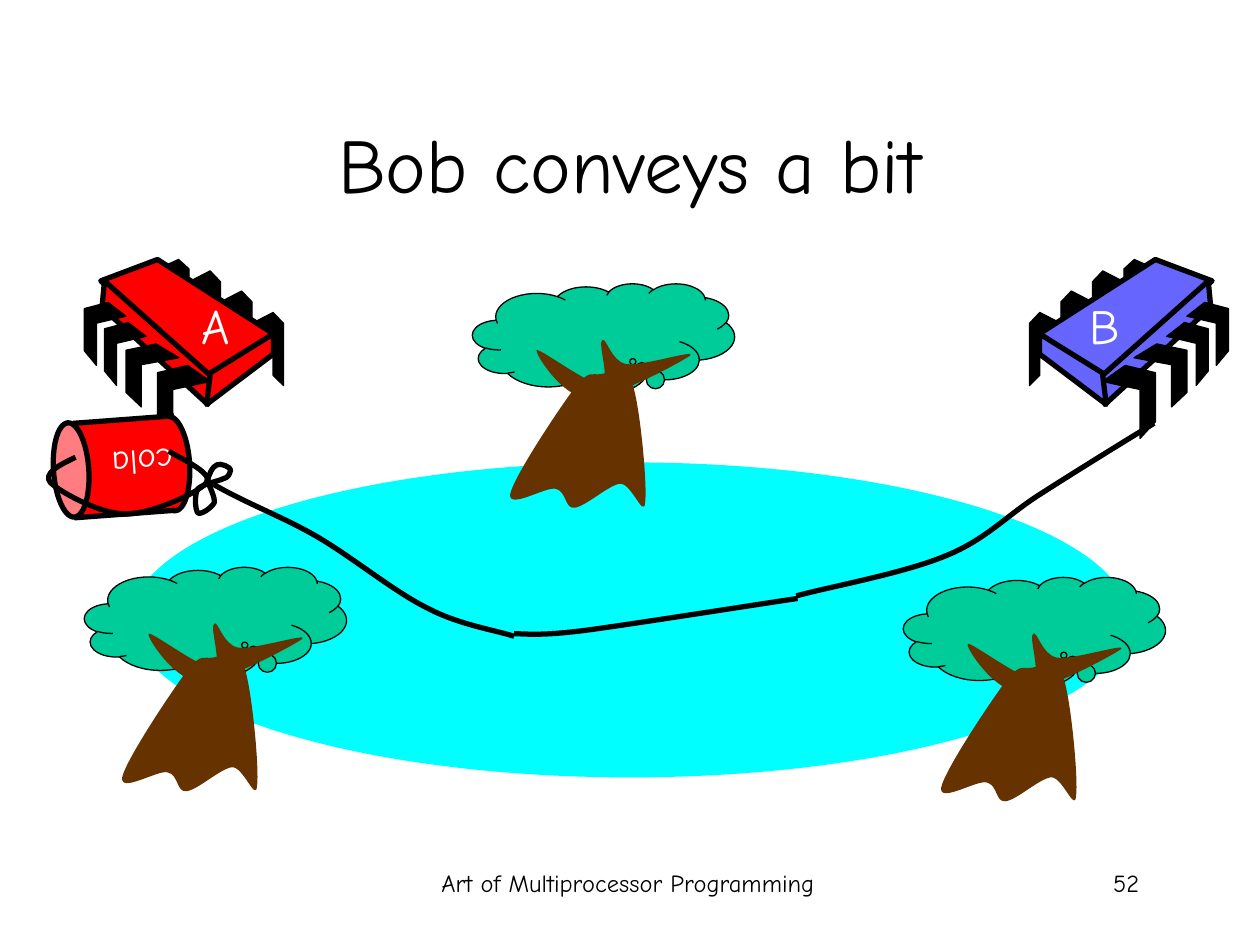
from pptx import Presentation
from pptx.dml.color import RGBColor
from pptx.enum.shapes import MSO_CONNECTOR, MSO_SHAPE
from pptx.enum.text import MSO_ANCHOR, PP_ALIGN
from pptx.oxml.ns import qn
from pptx.oxml.xmlchemy import OxmlElement
from pptx.util import Inches, Pt

STRAIGHT = MSO_CONNECTOR.STRAIGHT
OVAL, RECT, CLOUD = MSO_SHAPE.OVAL, MSO_SHAPE.RECTANGLE, MSO_SHAPE.CLOUD_CALLOUT
CENTER, RIGHT = PP_ALIGN.CENTER, PP_ALIGN.RIGHT
MIDDLE = MSO_ANCHOR.MIDDLE

COLORS = {
    "black": "000000", "white": "FFFFFF", "red": "FF0000", "pink": "FF7C80",
    "blue": "6666FF", "water": "00FFFF", "leaf": "00CC99", "bark": "663300",
}
FONT = "Comic Neue"
THICK, THIN = 3, 0.75
MIRROR = 10.42

BACK_LEG = [(0, 0.15), (0.67, 0), (1, 0.15), (1, 1), (0.67, 0.86), (0.67, 0.29), (0, 0.43)]
FRONT_LEG = [(0.57, 0), (1, 0.22), (0.29, 0.33), (0.29, 1), (0, 0.77), (0, 0.1)]
BACK_BOXES = [(2, 2.48, 0.25, 0.58), (1.75, 2.31, 0.25, 0.58),
              (1.5, 2.15, 0.25, 0.58), (1.25, 2.06, 0.25, 0.5)]
FRONT_BOXES = [(1.25, 2.9, 0.42, 0.58), (1, 2.73, 0.42, 0.5),
               (0.83, 2.56, 0.33, 0.5), (0.67, 2.4, 0.33, 0.5)]
CHIP_FACES = [
    [(1.25, 2.06), (2.17, 2.65), (1.65, 2.99), (0.8, 2.23)],
    [(0.83, 2.23), (1.67, 2.98), (1.65, 3.21), (0.81, 2.44)],
    [(2.17, 2.65), (2.17, 2.81), (1.64, 3.21), (1.67, 2.96)],
]
TRUNK = [
    (0.81, 0.83), (0.93, 0.68), (0.94, 0.73), (1.02, 0.72), (1.09, 0.71), (1.21, 0.63),
    (1.27, 0.8), (1.33, 0.97), (1.39, 1.61), (1.37, 1.74), (1.36, 1.87), (1.26, 1.58),
    (1.17, 1.59), (1.08, 1.6), (0.9, 1.77), (0.81, 1.78), (0.73, 1.79), (0.75, 1.65),
    (0.66, 1.63), (0.58, 1.61), (0.28, 1.8), (0.3, 1.67), (0.33, 1.53), (0.69, 0.99),
    (0.81, 0.83),
]
BRANCHES = [
    (0.51, 0.53), (0.49, 0.55), (0.71, 0.9), (0.91, 0.91), (1.12, 0.92), (1.68, 0.61),
    (1.73, 0.57), (1.78, 0.52), (1.34, 0.66), (1.22, 0.64), (1.1, 0.62), (1.06, 0.42),
    (1.03, 0.45), (0.99, 0.47), (1.1, 0.78), (1.02, 0.8), (0.93, 0.81), (0.53, 0.51),
    (0.51, 0.53),
]
BOW = [
    (1.65, 3.82), (1.65, 3.77), (1.69, 3.7), (1.72, 3.69), (1.75, 3.67), (1.83, 3.71),
    (1.83, 3.73), (1.82, 3.77), (1.81, 3.79), (1.77, 3.8), (1.73, 3.82), (1.61, 3.84),
    (1.57, 3.88), (1.54, 3.93), (1.55, 4.05), (1.57, 4.07), (1.59, 4.09), (1.68, 4.03),
    (1.7, 3.99), (1.71, 3.95), (1.66, 3.86), (1.65, 3.82),
]
LOOP = [
    (0.6, 3.63), (0.47, 3.69), (0.34, 3.76), (0.4, 3.83), (0.47, 3.9), (0.79, 4.08),
    (1, 4.08), (1.2, 4.08), (1.58, 3.91), (1.64, 3.83), (1.7, 3.75), (1.39, 3.62),
    (1.34, 3.58),
]
STRINGS = [
    [(1.67, 3.83), (1.94, 3.99), (2.22, 4.09), (2.5, 4.25), (2.78, 4.41), (3.12, 4.69),
     (3.38, 4.82), (3.64, 4.96), (3.93, 5), (4.08, 5.05)],
    [(9.16, 3.36), (9.01, 3.45), (8.54, 3.74), (8.26, 3.92), (7.99, 4.09), (7.83, 4.28),
     (7.51, 4.41), (7.18, 4.55), (6.57, 4.66), (6.32, 4.73)],
    [(4.08, 5.03), (4.18, 5.03), (4.29, 5.05), (4.67, 5), (5.04, 4.95), (6.06, 4.79),
     (6.33, 4.75)],
]


def rgb(name):
    return RGBColor.from_string(COLORS[name])


class Scene:
    def __init__(self, s):
        self.s = s
        self.shapes = s.shapes

    def group(self):
        self.shapes = self.s.shapes.add_group_shape().shapes

    def ungroup(self):
        self.shapes = self.s.shapes

    def style(self, sp, fill, width):
        sp.shadow.inherit = False
        if fill:
            sp.fill.solid()
            sp.fill.fore_color.rgb = rgb(fill)
        else:
            sp.fill.background()
        if width:
            sp.line.color.rgb = rgb("black")
            sp.line.width = Pt(width)
        else:
            sp.line.fill.background()

    def put_text(self, sp, text, size, color, align, wrap=True):
        tf = sp.text_frame
        tf.word_wrap = wrap
        p = tf.paragraphs[0]
        p.alignment = align
        r = p.add_run()
        r.text = text
        for name, value in {"name": FONT, "size": Pt(size)}.items():
            setattr(r.font, name, value)
        r.font.color.rgb = rgb(color)

    def title(self, text, box):
        sp = self.s.shapes.title
        for name, value in zip(("left", "top", "width", "height"), box):
            setattr(sp, name, Inches(value))
        sp.text_frame.vertical_anchor = MIDDLE
        self.put_text(sp, text, 44, "black", CENTER)

    def text(self, text, box, size, color="white", align=RIGHT, wrap=False, rotation=0):
        sp = self.shapes.add_textbox(*map(Inches, box))
        sp.rotation = rotation
        self.put_text(sp, text, size, color, align, wrap)

    def shape(self, kind, box, fill, width=None, rotation=0):
        sp = self.shapes.add_shape(kind, *map(Inches, box))
        sp.rotation = rotation
        self.style(sp, fill, width)
        return sp

    def line(self, x1, y1, x2, y2):
        c = self.shapes.add_connector(STRAIGHT, *map(Inches, (x1, y1, x2, y2)))
        c.line.color.rgb = rgb("black")
        c.line.width = Pt(THICK)
        c.element.spPr.append(OxmlElement("a:effectLst"))

    def polygon(self, points, fill=None, width=None, close=True):
        pts = [(Inches(x), Inches(y)) for x, y in points]
        fb = self.shapes.build_freeform(*pts[0])
        fb.add_line_segments(pts[1:], close=close)
        sp = fb.convert_to_shape()
        self.style(sp, fill, width)
        return sp

    def curve(self, points, fill=None, width=None):
        sp = self.polygon(points, fill, width, close=points[0] == points[-1])
        segments = list(sp.element.iter(qn("a:lnTo")))
        for i in range(0, len(segments), 3):
            cubic = OxmlElement("a:cubicBezTo")
            segments[i].addprevious(cubic)
            for segment in segments[i:i + 3]:
                cubic.append(segment[0])
                segment.getparent().remove(segment)

    def chip(self, color, mirrored=False):
        def place(points):
            return [(MIRROR - x if mirrored else x, y) for x, y in points]

        def legs(outline, boxes):
            for x, y, w, h in boxes:
                points = [(x + u * w, y + v * h) for u, v in outline]
                self.polygon(place(points), "black", THIN)

        self.group()
        legs(BACK_LEG, BACK_BOXES)
        for face in CHIP_FACES:
            self.polygon(place(face), color, THICK)
        legs(FRONT_LEG, FRONT_BOXES)
        self.ungroup()

    def tree(self, x, y):
        self.group()
        cloud = self.shape(CLOUD, (x, y, 2.08, 0.87), "leaf", THIN)
        cloud.adjustments[0], cloud.adjustments[1] = 0.112, 0.214
        for outline in (TRUNK, BRANCHES):
            self.curve([(x + dx, y + dy) for dx, dy in outline], "bark")
        self.ungroup()

    def can(self):
        self.group()
        self.shape(OVAL, (0.99, 3.54, 0.75, 0.28), "red", THICK, 266)
        self.shape(RECT, (0.59, 3.31, 0.75, 0.8), "red", rotation=266)
        self.shape(OVAL, (0.19, 3.59, 0.75, 0.28), "pink", THICK, 266)
        self.line(0.59, 4.11, 1.39, 4.05)
        self.line(0.58, 3.36, 1.38, 3.3)
        self.text("cola", (0.79, 3.47, 0.71, 0.43), 20, rotation=176)
        self.group()
        self.curve(BOW, width=THICK)
        self.curve(LOOP, width=THICK)
        self.ungroup()


def main():
    prs = Presentation()
    prs.slide_width, prs.slide_height = Inches(10), Inches(7.5)
    scene = Scene(prs.slides.add_slide(prs.slide_layouts[5]))
    scene.text("Art of Multiprocessor Programming", (3.4, 6.84, 3.17, 0.5), 14,
               "black", CENTER, True)
    scene.text("52", (7.06, 6.84, 2.08, 0.5), 14, "black", wrap=True)
    scene.title("Bob conveys a bit", (0.75, 0.67, 8.5, 1.25))
    scene.chip("red")
    scene.chip("blue", mirrored=True)
    scene.shape(OVAL, (1.04, 3.67, 7.92, 2.5), "water")
    scene.text("A", (1.43, 2.3, 0.49, 0.57), 28)
    scene.text("B", (8.54, 2.3, 0.45, 0.57), 28)
    for x, y in [(3.75, 2.25), (7.17, 4.58), (0.67, 4.5)]:
        scene.tree(x, y)
    scene.can()
    for string in STRINGS:
        scene.curve(string, width=THICK)
    prs.save("out.pptx")


if __name__ == "__main__":
    main()
